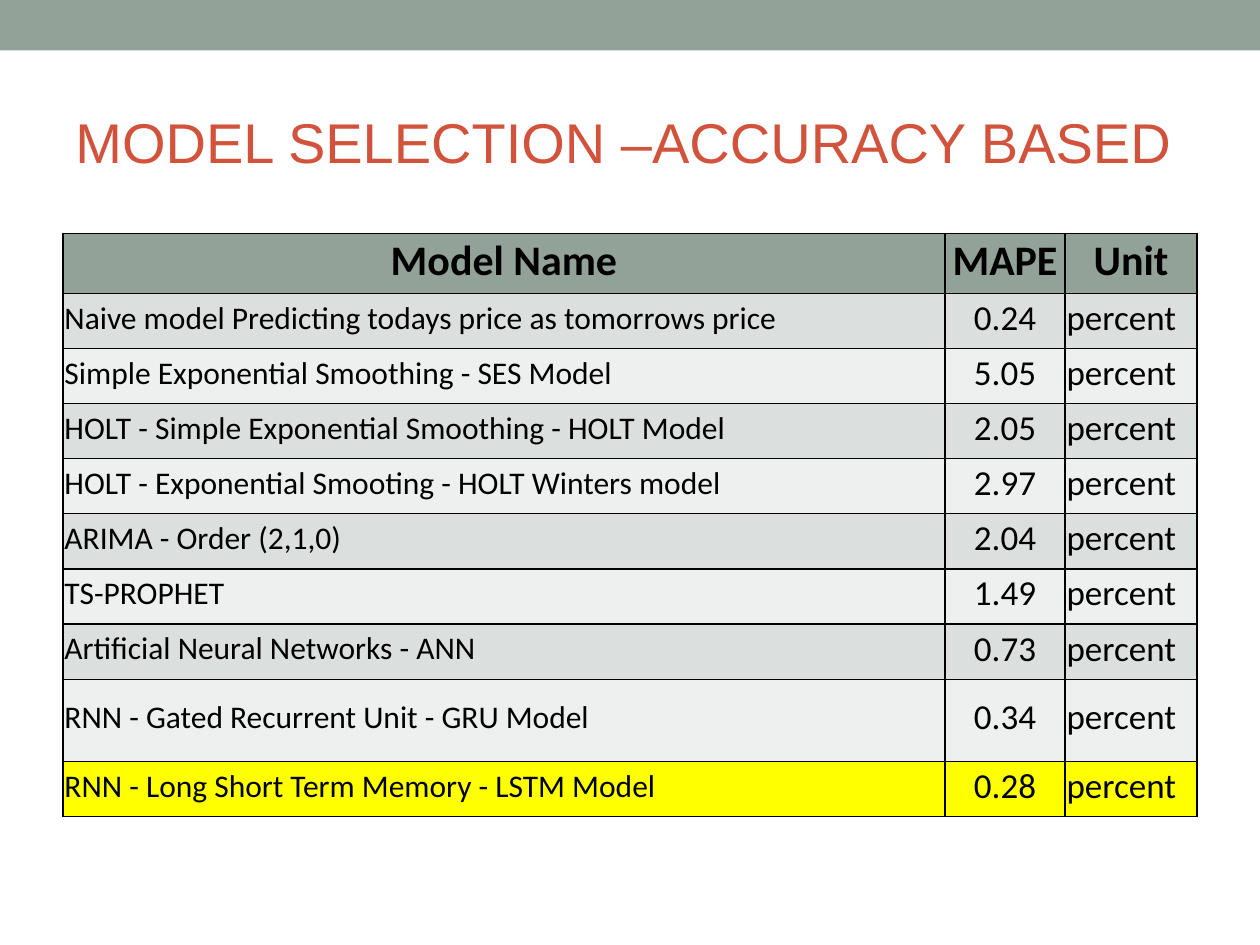
import dataclasses

import lxml.etree
import pptx
import pptx.dml.color
import pptx.enum.shapes
import pptx.enum.text
import pptx.oxml.ns
import pptx.util

Cm = pptx.util.Cm
Pt = pptx.util.Pt
ALIGN = pptx.enum.text.PP_ALIGN
MIDDLE = pptx.enum.text.MSO_ANCHOR.MIDDLE


@dataclasses.dataclass(frozen=True)
class Theme:
    sage: str = "93A299"
    title: str = "D2533C"
    ink: str = "000000"
    bands: tuple = ("DBDFDD", "EEF0EF")
    highlight: str = "FFFF00"
    title_font: str = "Arial"
    table_font: str = "Calibri"
    title_size: int = 32
    header_size: int = 24
    name_size: int = 18
    value_size: int = 20
    border: float = 0.75


THEME = Theme()

HEADERS = ("Model Name", "MAPE", "Unit")
MODELS = (
    ("Naive model Predicting todays price as tomorrows price", 0.24),
    ("Simple Exponential Smoothing - SES Model", 5.05),
    ("HOLT - Simple Exponential Smoothing - HOLT Model", 2.05),
    ("HOLT - Exponential Smooting - HOLT Winters model", 2.97),
    ("ARIMA - Order (2,1,0)", 2.04),
    ("TS-PROPHET", 1.49),
    ("Artificial Neural Networks - ANN", 0.73),
    ("RNN - Gated Recurrent Unit - GRU Model", 0.34),
    ("RNN - Long Short Term Memory - LSTM Model", 0.28),
)
COL_WIDTHS = (17.78, 2.42, 2.66)
ROW_HEIGHTS = (1.22,) + (1.11,) * 7 + (1.66, 1.11)


def rgb(color):
    return pptx.dml.color.RGBColor.from_string(color)


def set_text(tf, text, font, size, color, align=ALIGN.LEFT, bold=False):
    p = tf.paragraphs[0]
    p.text = text
    p.alignment = align
    p.font.name = font
    p.font.size = Pt(size)
    p.font.bold = bold
    p.font.color.rgb = rgb(color)


def add_top_bar(s, x, y, w, h):
    sp = s.shapes.add_shape(
        pptx.enum.shapes.MSO_SHAPE.RECTANGLE, Cm(x), Cm(y), Cm(w), Cm(h))
    sp.shadow.inherit = False
    sp.fill.solid()
    sp.fill.fore_color.rgb = rgb(THEME.sage)
    sp.line.fill.background()


def add_title(s, x, y, w, h):
    tf = s.shapes.add_textbox(Cm(x), Cm(y), Cm(w), Cm(h)).text_frame
    tf.word_wrap = True
    tf.vertical_anchor = MIDDLE
    set_text(tf, "MODEL SELECTION –ACCURACY BASED",
             THEME.title_font, THEME.title_size, THEME.title)


def set_borders(cell):
    qn = pptx.oxml.ns.qn
    tc_pr = cell._tc.get_or_add_tcPr()
    for side in ("a:lnL", "a:lnR", "a:lnT", "a:lnB"):
        ln = lxml.etree.SubElement(tc_pr, qn(side), w=str(Pt(THEME.border)))
        fill = lxml.etree.SubElement(ln, qn("a:solidFill"))
        lxml.etree.SubElement(fill, qn("a:srgbClr"), val=THEME.ink)


def style_cell(cell, text, size, fill, align, bold):
    cell.margin_left = cell.margin_right = cell.margin_top = Cm(0.03)
    cell.margin_bottom = Cm(0.13)
    cell.vertical_anchor = MIDDLE
    set_borders(cell)
    cell.fill.solid()
    cell.fill.fore_color.rgb = rgb(fill)
    set_text(cell.text_frame, text, THEME.table_font, size, THEME.ink, align, bold)


def add_model_table(s, x, y):
    rows = [HEADERS] + [(name, f"{mape:.2f}", "percent") for name, mape in MODELS]
    table = s.shapes.add_table(
        len(rows), len(HEADERS), Cm(x), Cm(y),
        Cm(sum(COL_WIDTHS)), Cm(sum(ROW_HEIGHTS))).table
    table.first_row = table.horz_banding = False
    for col, width in zip(table.columns, COL_WIDTHS):
        col.width = Cm(width)
    for row, height in zip(table.rows, ROW_HEIGHTS):
        row.height = Cm(height)

    best = len(rows) - 1
    sizes = (THEME.name_size, THEME.value_size, THEME.value_size)
    for i, row in enumerate(rows):
        header = i == 0
        fill = THEME.bands[(i - 1) % 2]
        if header:
            fill = THEME.sage
        elif i == best:
            fill = THEME.highlight
        for j, text in enumerate(row):
            size = THEME.header_size if header else sizes[j]
            align = ALIGN.CENTER if header or j == 1 else ALIGN.LEFT
            style_cell(table.cell(i, j), text, size, fill, align, header)


def main():
    prs = pptx.Presentation()
    prs.slide_width, prs.slide_height = Cm(25.4), Cm(19.05)
    s = prs.slides.add_slide(prs.slide_layouts[6])
    add_top_bar(s, 0, 0, 25.4, 1.02)
    add_title(s, 1.27, 1.47, 22.86, 2.75)
    add_model_table(s, 1.27, 4.7)
    prs.save("out.pptx")


if __name__ == "__main__":
    main()
